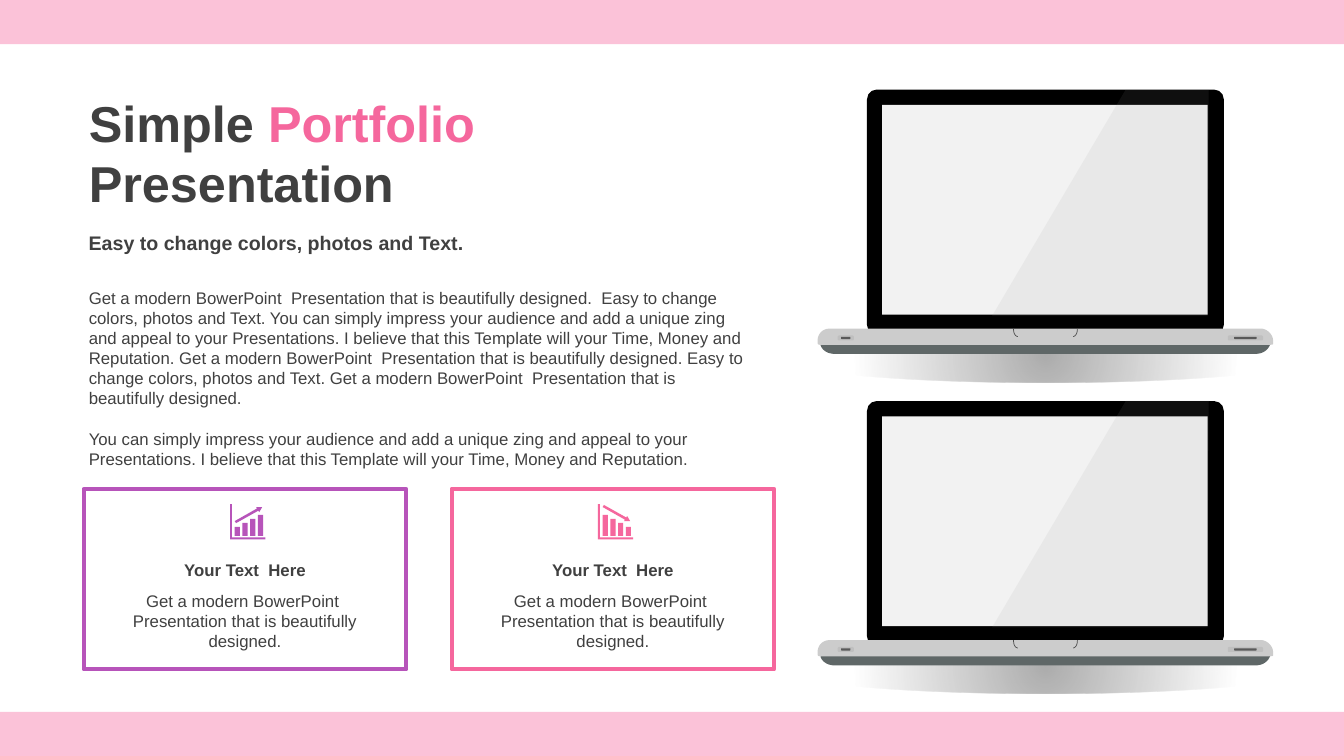
"""Build a portfolio slide with two laptop mock-ups and two text cards."""
import dataclasses

import lxml.etree
import pptx
import pptx.dml.color
import pptx.enum.shapes
import pptx.enum.text
import pptx.oxml
import pptx.oxml.ns
import pptx.util

Pt = pptx.util.Pt
Preset = pptx.enum.shapes.MSO_SHAPE
Align = pptx.enum.text.PP_ALIGN


@dataclasses.dataclass(frozen=True)
class Theme:
    font: str = "Arial"
    title_size: float = 36
    subtitle_size: float = 14
    text_size: float = 12
    ink: str = "404040"
    pink: str = "F5679D"
    purple: str = "B754BA"
    band: str = "FBC2D8"
    paper: str = "FFFFFF"
    shadow: str = "808080"
    lid: str = "000000"
    screen: str = "F2F2F2"
    base: str = "CCCCCC"
    underside: str = "5F6767"
    notch: str = "4D4D4D"
    port: str = "BFBFBF"
    slot: str = "595959"
    glare: str = "999999"


THEME = Theme()


def rgb(value):
    return pptx.dml.color.RGBColor.from_string(value)


def write(frame, paragraphs, size=THEME.text_size, color=THEME.ink, bold=False,
          align=Align.LEFT, gap=0):
    frame.word_wrap = True
    frame.auto_size = pptx.enum.text.MSO_AUTO_SIZE.NONE
    frame.vertical_anchor = pptx.enum.text.MSO_ANCHOR.TOP
    for index, runs in enumerate(paragraphs):
        para = frame.add_paragraph() if index else frame.paragraphs[0]
        para.alignment = align
        para.line_spacing = 1.0
        para.space_before = Pt(gap if index else 0)
        para.space_after = Pt(0)
        properties = para._p.get_or_add_pPr()
        properties.set("marL", "0")
        properties.set("indent", "0")
        lxml.etree.SubElement(properties, pptx.oxml.ns.qn("a:buNone"))
        for text, run_color in runs:
            span = para.add_run()
            span.text = text
            span.font.name = THEME.font
            span.font.size = Pt(size)
            span.font.bold = bold
            span.font.color.rgb = rgb(run_color or color)


def trace(points, steps=8):
    """Turn points and cubic curves (six numbers) into plain vertices."""
    vertices = []
    for point in points:
        if len(point) == 2:
            vertices.append(point)
            continue
        corners = [vertices[-1], point[:2], point[2:4], point[4:]]
        for step in range(1, steps + 1):
            t = step / steps
            weights = ((1 - t) ** 3, 3 * t * (1 - t) ** 2, 3 * t * t * (1 - t), t ** 3)
            vertices.append(tuple(sum(w * c[axis] for w, c in zip(weights, corners))
                                  for axis in (0, 1)))
    return vertices


class SlidePainter:
    def __init__(self, slide):
        self.slide = slide
        self.shapes = slide.shapes

    def paint(self, shape, fill=None, line=None, line_width=1, opacity=100):
        shape.shadow.inherit = False
        if fill:
            shape.fill.solid()
            shape.fill.fore_color.rgb = rgb(fill)
        else:
            shape.fill.background()
        if line:
            shape.line.color.rgb = rgb(line)
            shape.line.width = Pt(line_width)
        else:
            shape.line.fill.background()
        if opacity < 100:
            color = shape.element.spPr.find(pptx.oxml.ns.qn("a:solidFill"))[0]
            lxml.etree.SubElement(color, pptx.oxml.ns.qn("a:alpha"), val=str(opacity * 1000))
        return shape

    def preset(self, kind, left, top, width, height, fill, corner=None, **style):
        shape = self.shapes.add_shape(kind, Pt(left), Pt(top), Pt(width), Pt(height))
        if corner is not None:
            shape.adjustments[0] = corner
        return self.paint(shape, fill, **style)

    def outline(self, left, top, contours, closed=True, **style):
        builder = None
        for contour in contours:
            points = [(Pt(left + x), Pt(top + y)) for x, y in trace(contour)]
            if builder is None:
                builder = self.shapes.build_freeform(*points[0], scale=1.0)
            else:
                builder.move_to(*points[0])
            builder.add_line_segments(points[1:], close=closed)
        return self.paint(builder.convert_to_shape(), **style)

    def textbox(self, left, top, width, height, paragraphs, **style):
        box = self.shapes.add_textbox(Pt(left), Pt(top), Pt(width), Pt(height))
        write(box.text_frame, paragraphs, **style)

    def placeholder(self, index, left, top, width, height, paragraphs, **style):
        holder = self.slide.placeholders[index]
        holder.left, holder.top, holder.width, holder.height = map(
            Pt, (left, top, width, height))
        write(holder.text_frame, paragraphs, **style)

    def soft_shadow(self, left, top, width, height):
        oval = self.preset(Preset.OVAL, left, top, width, height, THEME.shadow)
        stops = "".join(
            f'<a:gs pos="{place * 1000}"><a:srgbClr val="{THEME.shadow}">'
            f'<a:alpha val="{alpha * 1000}"/></a:srgbClr></a:gs>'
            for place, alpha in ((0, 65), (68, 0), (100, 0)))
        gradient = pptx.oxml.parse_xml(
            f'<a:gradFill {pptx.oxml.ns.nsdecls("a")}><a:gsLst>{stops}</a:gsLst>'
            '<a:path path="circle"><a:fillToRect l="50000" t="50000" r="50000" b="50000"/>'
            '</a:path></a:gradFill>')
        properties = oval.element.spPr
        properties.replace(properties.find(pptx.oxml.ns.qn("a:solidFill")), gradient)

    def laptop(self, left, top):
        self.soft_shadow(left - 37, top + 169.3, 400, 39.6)
        self.outline(left, top, [[(2.2, 182), (2.2, 183), (4, 187, 8, 188.8, 12, 188.8),
                                  (313, 188.8), (318, 188.8, 322, 186, 323.3, 182)]],
                     fill=THEME.underside)
        self.preset(Preset.ROUNDED_RECTANGLE, left + 35.3, top, 254.9, 175, THEME.lid, 0.04)
        self.preset(Preset.RECTANGLE, left + 46.1, top + 10.9, 232.6, 149.8, THEME.screen)
        self.outline(left, top, [[(8.6, 170.7), (316.8, 170.7),
                                  (321, 170.7, 325.4, 175, 325.4, 179.3), (325.4, 181.5),
                                  (325.4, 182.3, 324, 182.3, 322, 182.3), (3, 182.3),
                                  (1, 182.3, 0, 182.3, 0, 180.8), (0, 179.3),
                                  (0, 174.5, 3.6, 170.7, 8.6, 170.7)]], fill=THEME.base)
        for side, start in ((1, 140), (-1, 185.6)):
            hook = [(start, 170.7), (start, 174, start + side, 176, start + 3 * side, 176.4)]
            self.outline(left, top, [hook], closed=False, line=THEME.notch, line_width=0.5)
        for port_left, port_width, inset in ((14.4, 11.5, 2.4), (293, 25.2, 4.6)):
            self.preset(Preset.ROUNDED_RECTANGLE, left + port_left, top + 175.6,
                        port_width, 3.6, THEME.port, 0.28)
            self.preset(Preset.ROUNDED_RECTANGLE, left + port_left + inset, top + 176.6,
                        port_width - 2 * inset, 1.6, THEME.slot, 0.28)
        self.outline(left, top, [[(220.3, -0.4), (279.4, -0.4), (278.6, 161.7),
                                  (124.6, 161.7)]], fill=THEME.glare, opacity=10)

    def chart_icon(self, left, top, color, rising):
        contours = [[(0, 0), (1.4, 0), (1.4, 23.8), (25.2, 23.8), (25.2, 25.2), (0, 25.2)]]
        for index in range(4):
            x = 3.4 + 5.5 * index
            y = 16.4 - 2.9 * (index if rising else 3 - index)
            contours.append([(x, y), (x + 3.7, y), (x + 3.7, 22.8), (x, 22.8)])
        arrow = [(18.7, 2.2), (23, 2.2), (20.9, 5.8), (20.2, 4.8), (4.3, 13.7),
                 (3.4, 12.2), (19.3, 3.2)]
        contours.append([(x, y if rising else 14.4 - y) for x, y in arrow])
        self.outline(left, top, contours, fill=color)

    def card(self, left, top, color, rising):
        self.preset(Preset.RECTANGLE, left, top, 230.4, 128.9, THEME.paper,
                    line=color, line_width=3)
        self.chart_icon(left + 104.5, top + 10.8, color, rising)
        self.textbox(left + 12.2, top + 46.8, 206, 21.6, [[("Your Text  Here", None)]],
                     bold=True, align=Align.CENTER)
        self.textbox(left + 12.2, top + 69.1, 206, 51, [[(
            "Get a modern BowerPoint  Presentation that is beautifully designed.", None)]],
            align=Align.CENTER)


def main():
    deck = pptx.Presentation()
    deck.slide_width, deck.slide_height = Pt(960), Pt(540)
    page = SlidePainter(deck.slides.add_slide(deck.slide_layouts[1]))
    for top in (64, 286.5):
        page.laptop(584, top)
    for top in (0, 508.4):
        page.preset(Preset.RECTANGLE, 0, top, 960, 31.6, THEME.band)
    page.placeholder(0, 56.2, 61.9, 306, 94.3,
                     [[("Simple ", None), ("Portfolio", THEME.pink)], [("Presentation", None)]],
                     size=THEME.title_size, bold=True)
    page.textbox(56.2, 161.3, 306, 24.5, [[("Easy to change colors, photos and Text.", None)]],
                 size=THEME.subtitle_size, bold=True)
    page.placeholder(1, 56.2, 201.6, 487.4, 138.2, [
        [("Get a modern BowerPoint  Presentation that is beautifully designed.  Easy to change "
          "colors, photos and Text. You can simply impress your audience and add a unique zing "
          "and appeal to your Presentations. I believe that this Template will your Time, Money "
          "and Reputation. Get a modern BowerPoint  Presentation that is beautifully designed. "
          "Easy to change colors, photos and Text. Get a modern BowerPoint  Presentation that is "
          "beautifully designed.", None)],
        [("You can simply impress your audience and add a unique zing and appeal to your "
          "Presentations. I believe that this Template will your Time, Money and Reputation.",
          None)]], gap=14.4)
    for left, color, rising in ((59.8, THEME.purple, True), (322.6, THEME.pink, False)):
        page.card(left, 349.2, color, rising)
    deck.save("out.pptx")


if __name__ == "__main__":
    main()
